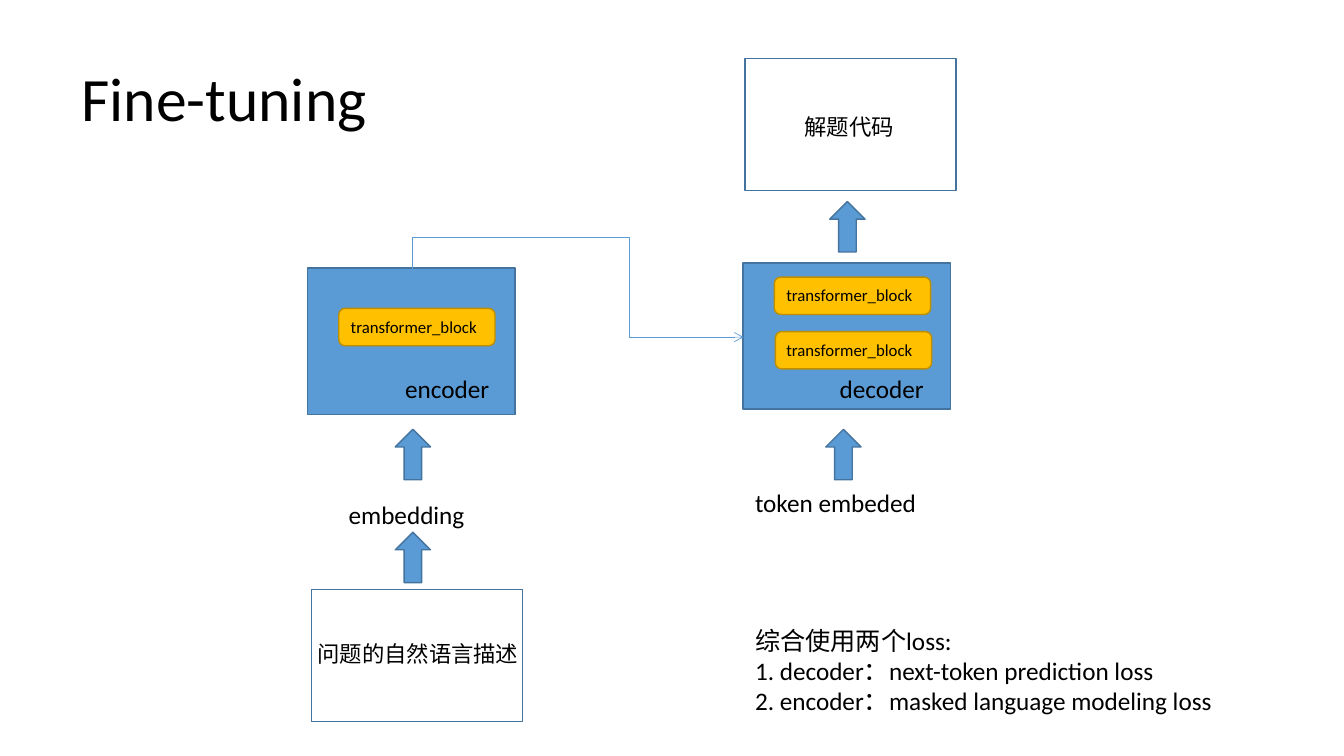
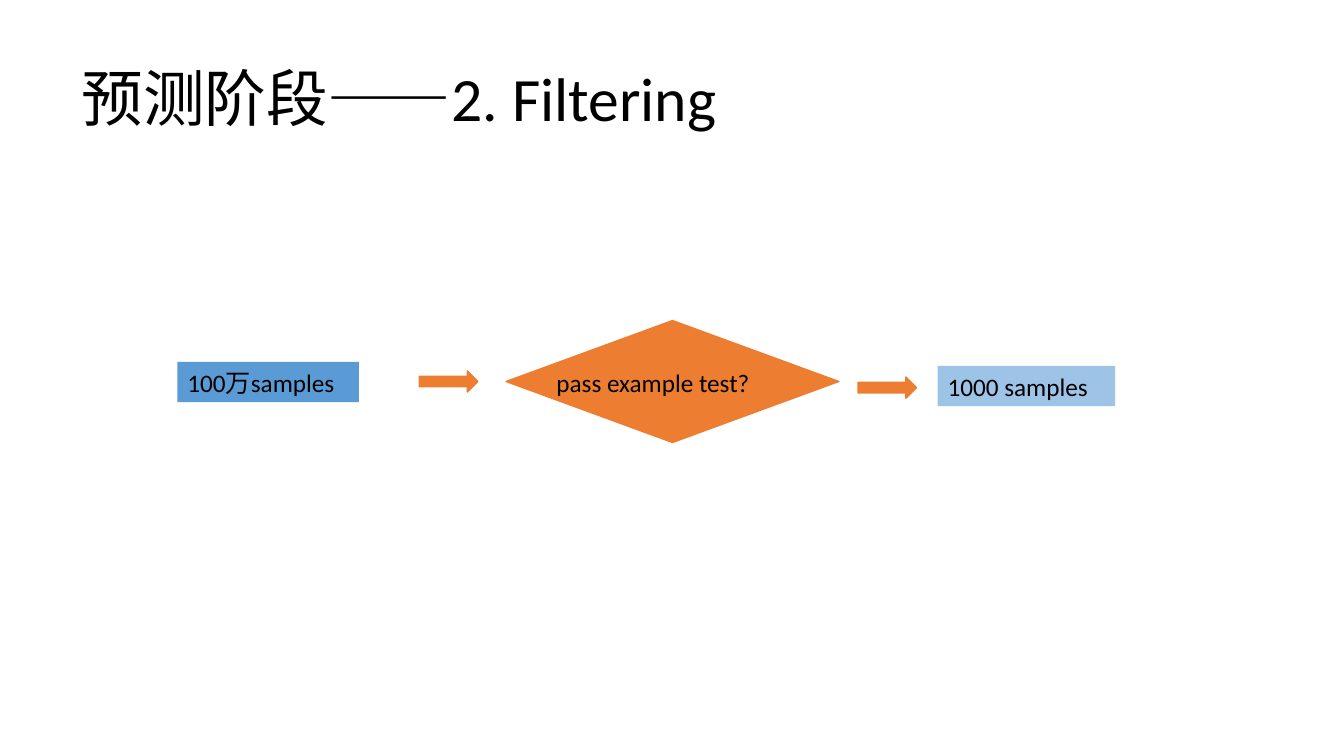
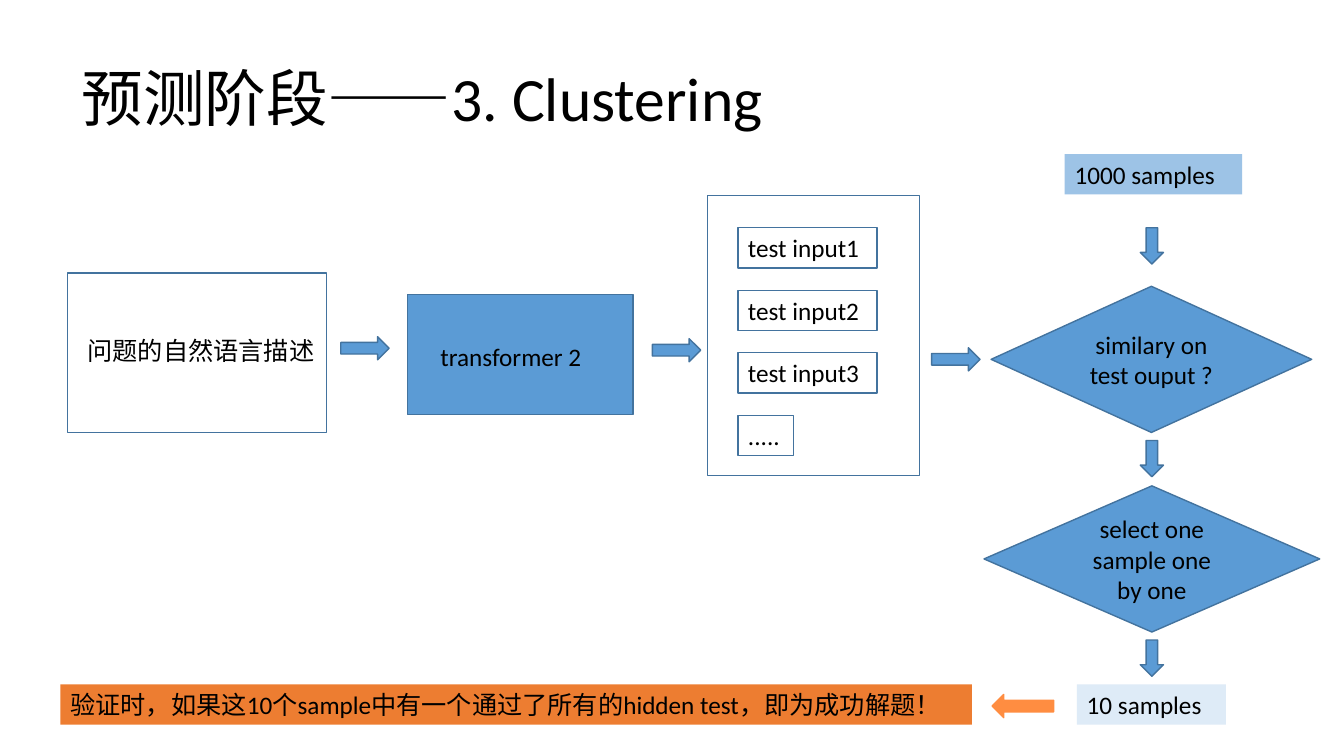
from pptx import Presentation
from pptx import util as u
from pptx.dml.color import RGBColor
from pptx.enum import shapes, text
from pptx.oxml.ns import qn
from lxml import etree

COLORS = {
    "black": "000000",
    "blue": "5B9BD5",
    "edge": "43739E",
    "light": "9DC3E6",
    "pale": "DEEBF7",
    "orange": "ED7D31",
    "bright": "FF8D41",
    "gold": "FFC000",
    "gold_edge": "BD8E00",
}
FONT = "Calibri"
TITLES = ["Fine-tuning", "预测阶段——2. Filtering", "预测阶段——3. Clustering"]
Kind = shapes.MSO_SHAPE
Anchor = text.MSO_ANCHOR
Align = text.PP_ALIGN


def draw(slide, kind, left, top, width, height, fill=None, line=None):
    box = slide.shapes.add_shape(kind, *map(u.Inches, (left, top, width, height)))
    box.shadow.inherit = False
    if fill:
        box.fill.solid()
        box.fill.fore_color.rgb = RGBColor.from_string(COLORS[fill])
    else:
        box.fill.background()
    if line:
        box.line.color.rgb = RGBColor.from_string(COLORS[line])
        box.line.width = u.Pt(1)
    else:
        box.line.fill.background()
    return box


def write(target, words, at=None, size=18, wrap=False, grow=True,
          anchor=Anchor.TOP, align=Align.LEFT, spacing=None):
    if at:
        target = target.shapes.add_textbox(*map(u.Inches, at))
    frame = target.text_frame
    frame.text = words
    frame.word_wrap = wrap
    frame.auto_size = text.MSO_AUTO_SIZE.SHAPE_TO_FIT_TEXT if grow else text.MSO_AUTO_SIZE.NONE
    frame.vertical_anchor = anchor
    for paragraph in frame.paragraphs:
        paragraph.alignment = align
        paragraph.line_spacing = spacing
        for run in paragraph.runs:
            run.font.name = FONT
            run.font.size = u.Pt(size)
            run.font.color.rgb = RGBColor.from_string(COLORS["black"])


deck = Presentation()
deck.slide_width = u.Inches(13.33)
deck.slide_height = u.Inches(7.5)

slides = []
for title in TITLES:
    slide = deck.slides.add_slide(deck.slide_layouts[6])
    write(slide, title, at=(0.71, 0.28, 11.5, 1.45), size=44, wrap=True, grow=False,
          anchor=Anchor.MIDDLE, spacing=0.9)
    slides.append(slide)
tuning, filtering, clustering = slides

for name, left, top, label_left in [("encoder", 3.05, 2.66, 3.92), ("decoder", 7.37, 2.61, 8.23)]:
    draw(tuning, Kind.RECTANGLE, left, top, 2.06, 1.45, "blue", "edge")
    write(tuning, name, at=(label_left, 3.65, 1.12, 0.4))

attention = tuning.shapes.add_connector(
    shapes.MSO_CONNECTOR.ELBOW, *map(u.Inches, (6.07, 1.36, 5.39, 4.65)))
attention.line.color.rgb = RGBColor.from_string(COLORS["blue"])
attention.line.width = u.Pt(0.5)
properties = attention._element.spPr
properties.find(qn("a:xfrm")).set("rot", "16200000")
bend = properties.find(qn("a:prstGeom"))
bend.set("prst", "bentConnector4")
adjustments = bend.find(qn("a:avLst"))
if adjustments is None:
    adjustments = etree.SubElement(bend, qn("a:avLst"))
for name, value in [("adj1", -46100), ("adj2", 65700)]:
    etree.SubElement(adjustments, qn("a:gd"), name=name, fmla=f"val {value}")
etree.SubElement(properties.find(qn("a:ln")), qn("a:tailEnd"), type="arrow")
etree.SubElement(properties, qn("a:effectLst"))

for left, top in [(3.92, 4.26), (3.92, 5.28), (8.19, 4.26), (8.23, 2)]:
    draw(tuning, Kind.UP_ARROW, left, top, 0.35, 0.5, "blue", "edge")

for left, top, label_left in [(3.36, 3.06, 3.38), (7.69, 3.29, 7.7), (7.68, 2.75, 7.7)]:
    draw(tuning, Kind.ROUNDED_RECTANGLE, left, top, 1.55, 0.37, "gold", "gold_edge")
    write(tuning, "transformer_block", at=(label_left, top + 0.03, 1.55, 0.3), size=12)

for left, top in [(3.09, 5.85), (7.39, 0.58)]:
    draw(tuning, Kind.RECTANGLE, left, top, 2.09, 1.31, line="edge")
write(tuning, "问题的自然语言描述", at=(3.05, 6.3, 2.2, 0.37), size=16)
write(tuning, "解题代码", at=(7.88, 1.07, 1.09, 0.37), size=16)
write(tuning, "embedding", at=(3.36, 4.9, 1.46, 0.4))
write(tuning, "token embeded", at=(7.39, 4.79, 1.95, 0.4))
losses = [
    "综合使用两个loss:",
    "1. decoder：next-token prediction loss",
    "2. encoder：masked language modeling loss",
]
write(tuning, "\n".join(losses), at=(7.39, 6.15, 5.24, 1.01))

draw(filtering, Kind.FLOWCHART_DECISION, 5.02, 3.18, 3.3, 1.21, "orange", "orange")
write(filtering, "pass example test?", at=(5.42, 3.59, 2.37, 0.4))
for left, top in [(4.16, 3.68), (8.51, 3.74)]:
    draw(filtering, Kind.RIGHT_ARROW, left, top, 0.58, 0.21, "orange", "orange")

bars = [
    (filtering, "100万samples", 1.76, 3.59, 1.8, "blue"),
    (filtering, "1000 samples", 9.3, 3.63, 1.76, "light"),
    (clustering, "1000 samples", 10.56, 1.53, 1.76, "light"),
    (clustering, "10 samples", 10.68, 6.79, 1.48, "pale"),
    (clustering, "验证时，如果这10个sample中有⼀个通过了所有的hidden test，即为成功解题！",
     0.6, 6.79, 9.04, "orange"),
]
for slide, words, left, top, width, fill in bars:
    write(draw(slide, Kind.RECTANGLE, left, top, width, 0.4, fill), words)

draw(clustering, Kind.RECTANGLE, 0.67, 2.71, 2.57, 1.58, line="edge")
write(clustering, "问题的自然语言描述", at=(0.77, 3.28, 2.57, 0.4), wrap=True)
draw(clustering, Kind.RECTANGLE, 4.04, 2.92, 2.24, 1.19, "blue", "edge")
write(clustering, "transformer 2", at=(4.27, 3.34, 1.7, 0.4))

draw(clustering, Kind.RECTANGLE, 7.02, 1.94, 2.1, 2.78, line="edge")
inputs = [("test input1", 1.38), ("test input2", 1.38), ("test input3", 1.38), (".....", 0.55)]
for row, (words, width) in enumerate(inputs):
    write(draw(clustering, Kind.RECTANGLE, 7.32, 2.26 + 0.62 * row, width, 0.4, line="edge"), words)

decisions = [
    ("similary on test ouput ?", 9.83, 2.84, 3.18),
    ("select one sample one by one", 9.76, 4.82, 3.33),
]
for words, left, top, width in decisions:
    decision = draw(clustering, Kind.FLOWCHART_DECISION, left, top, width, 1.45, "blue", "edge")
    write(decision, words, wrap=True, grow=False, anchor=Anchor.MIDDLE, align=Align.CENTER)

for left, top in [(3.38, 3.34), (6.47, 3.36), (9.24, 3.45)]:
    draw(clustering, Kind.RIGHT_ARROW, left, top, 0.48, 0.23, "blue", "edge")
for top in (2.26, 4.37, 6.35):
    draw(clustering, Kind.DOWN_ARROW, 11.31, top, 0.23, 0.36, "blue", "edge")
draw(clustering, Kind.LEFT_ARROW, 9.84, 6.89, 0.61, 0.23, "bright", "bright")

deck.save("out.pptx")
